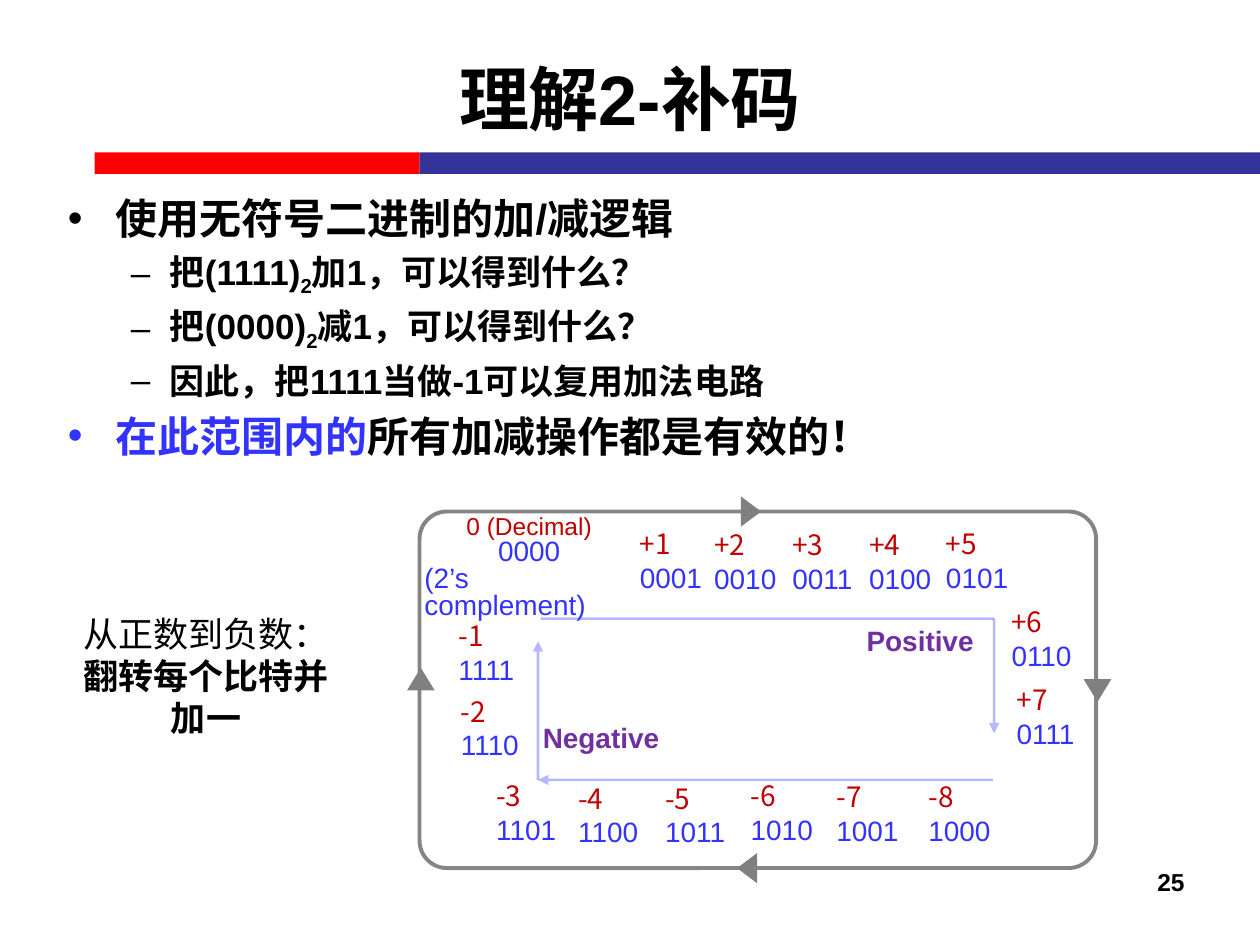
from typing import NamedTuple

from lxml import etree
from pptx import Presentation
from pptx.dml.color import RGBColor
from pptx.enum.shapes import MSO_CONNECTOR as Connector, MSO_SHAPE as Shape
from pptx.enum.text import MSO_ANCHOR as Anchor, PP_ALIGN as Align
from pptx.oxml.ns import qn
from pptx.util import Inches, Pt

LATIN, CJK = "Arial", "Noto Sans CJK SC"
BLACK, RED, BLUE = "000000", "C00000", "3333FF"
GREY, PURPLE = "808080", "7030A0"


class Run(NamedTuple):
    text: str
    size: float
    color: str = BLACK
    bold: bool = False
    font: str = LATIN
    subscript: bool = False


class Para(NamedTuple):
    runs: list[Run]
    align: Align = Align.LEFT
    spacing: float | None = None
    level: int | None = None  # None means no bullet


class Box(NamedTuple):
    left: float
    top: float
    width: float
    height: float


class Arrow(NamedTuple):
    start: tuple[float, float]
    end: tuple[float, float]
    has_head: bool = True


class Code(NamedTuple):
    value: int
    left: float
    top: float


def rgb(color: str) -> RGBColor:
    return RGBColor.from_string(color)


def set_alpha(line, percent: int) -> None:
    clr = line._get_or_add_ln().find(".//" + qn("a:srgbClr"))
    etree.SubElement(clr, qn("a:alpha"), val=str(percent * 1000))


def add_bullet(p, level: int) -> None:
    margin, hang, char = [(0.38, 0.38, "•"), (0.81, 0.31, "–")][level]
    pPr = p._p.get_or_add_pPr()
    pPr.set("marL", str(Inches(margin)))
    pPr.set("indent", str(-Inches(hang)))
    etree.SubElement(pPr, qn("a:buFont"), typeface=LATIN)
    etree.SubElement(pPr, qn("a:buChar"), char=char)


def add_text(s, box: Box, paras: list[Para], anchor: Anchor = Anchor.TOP) -> None:
    tf = s.shapes.add_textbox(*map(Inches, box)).text_frame
    tf.word_wrap = True
    tf.vertical_anchor = anchor
    for i, para in enumerate(paras):
        p = tf.paragraphs[0] if i == 0 else tf.add_paragraph()
        p.alignment = para.align
        if para.spacing:
            p.line_spacing = para.spacing
        if para.level is not None:
            if i > 0:
                p.space_before = Pt(para.runs[0].size * 0.2)
            add_bullet(p, para.level)
        for run in para.runs:
            r = p.add_run()
            r.text = run.text
            formats = {"size": Pt(run.size), "bold": run.bold, "name": run.font}
            for name, value in formats.items():
                setattr(r.font, name, value)
            r.font.color.rgb = rgb(run.color)
            rPr = r._r.get_or_add_rPr()
            etree.SubElement(rPr, qn("a:ea"), typeface=run.font)
            if run.subscript:
                rPr.set("baseline", "-25000")


def add_filled(s, kind: Shape, box: Box, color: str, rotation: int = 0) -> None:
    sp = s.shapes.add_shape(kind, *map(Inches, box))
    sp.shadow.inherit = False
    sp.fill.solid()
    sp.fill.fore_color.rgb = rgb(color)
    sp.line.fill.background()
    sp.rotation = rotation


def add_ring(s, box: Box) -> None:
    sp = s.shapes.add_shape(Shape.ROUNDED_RECTANGLE, *map(Inches, box))
    sp.adjustments[0] = 0.077
    sp.shadow.inherit = False
    sp.fill.background()
    sp.line.color.rgb = rgb(BLACK)
    sp.line.width = Pt(2.25)
    set_alpha(sp.line, 48)


def add_arrow(s, arrow: Arrow) -> None:
    ends = map(Inches, arrow.start + arrow.end)
    cx = s.shapes.add_connector(Connector.STRAIGHT, *ends)
    cx.line.color.rgb = rgb(BLUE)
    cx.line.width = Pt(1.5)
    set_alpha(cx.line, 34)
    if arrow.has_head:
        etree.SubElement(cx.line._get_or_add_ln(), qn("a:tailEnd"), type="triangle")
    etree.SubElement(cx._element.spPr, qn("a:effectLst"))


def add_code(s, code: Code) -> None:
    """A signed number above its four-bit two's complement."""
    add_text(s, Box(code.left, code.top, 0.73, 0.64), [
        Para([Run(f"{code.value:+d}", 16, RED, font=CJK)]),
        Para([Run(f"{code.value & 0b1111:04b}", 16, BLUE)]),
    ])


def question(bits: str, action: str) -> Para:
    return Para([
        Run(f"把({bits})", 20, bold=True),
        Run("2", 20, bold=True, subscript=True),
        Run(f"{action}1，可以得到什么？", 20, bold=True),
    ], level=1)


TRIANGLES = [
    (Box(5.84, 3.98, 0.24, 0.16), 90),
    (Box(8.6, 5.39, 0.22, 0.18), 180),
    (Box(5.81, 6.81, 0.24, 0.16), 270),
    (Box(3.23, 5.3, 0.22, 0.18), 0),
]
ARROWS = [
    Arrow((4.29, 4.91), (7.89, 4.91), has_head=False),
    Arrow((7.89, 4.91), (7.89, 5.82)),
    Arrow((7.88, 6.19), (4.27, 6.19)),
    Arrow((4.27, 6.19), (4.27, 5.09)),
]
CODES = [
    Code(1, 4.98, 4.13), Code(2, 5.57, 4.14), Code(3, 6.19, 4.14),
    Code(4, 6.8, 4.14), Code(5, 7.41, 4.13), Code(6, 7.93, 4.75),
    Code(7, 7.97, 5.37), Code(-8, 7.27, 6.14), Code(-7, 6.54, 6.14),
    Code(-6, 5.86, 6.13), Code(-5, 5.18, 6.15), Code(-4, 4.49, 6.15),
    Code(-3, 3.84, 6.13), Code(-2, 3.56, 5.46), Code(-1, 3.54, 4.86),
]
SIGNS = [("Positive", Box(6.78, 4.9, 1.13, 0.37)),
         ("Negative", Box(4.21, 5.67, 1.23, 0.37))]


def main() -> None:
    prs = Presentation()
    prs.slide_width, prs.slide_height = Inches(10), Inches(7.5)
    s = prs.slides.add_slide(prs.slide_layouts[6])

    # Title and two-colour rule
    add_filled(s, Shape.RECTANGLE, Box(0.75, 1.21, 2.58, 0.17), "FF0000")
    add_filled(s, Shape.RECTANGLE, Box(3.33, 1.21, 6.67, 0.17), "333399")
    add_text(s, Box(0.5, 0.15, 9, 1.25),
             [Para([Run("理解2-补码", 40, bold=True)], Align.CENTER)], Anchor.MIDDLE)

    # Bullets
    add_text(s, Box(0.44, 1.48, 7.47, 5.51), [
        Para([Run("使用无符号二进制的加/减逻辑", 24, bold=True)], level=0),
        question("1111", "加"),
        question("0000", "减"),
        Para([Run("因此，把1111当做-1可以复用加法电路", 20, bold=True)], level=1),
        Para([Run("在此范围内的", 24, BLUE, True),
              Run("所有加减操作都是有效的！", 24, bold=True)], level=0),
    ])

    # Side note and page number
    add_text(s, Box(0.44, 4.81, 2.39, 1.11), [
        Para([Run("从正数到负数：", 20)], Align.CENTER),
        Para([Run("翻转每个比特并加一", 20, bold=True)], Align.CENTER),
    ])
    add_text(s, Box(7.17, 6.83, 2.33, 0.52),
             [Para([Run("25", 14, bold=True)], Align.RIGHT)])

    # Number ring
    add_ring(s, Box(3.33, 4.06, 5.37, 2.83))
    for box, rotation in TRIANGLES:
        add_filled(s, Shape.ISOSCELES_TRIANGLE, box, GREY, rotation)
    add_text(s, Box(3.27, 4.05, 1.86, 0.73), [
        Para([Run("0 (Decimal)", 14, RED)], Align.CENTER, 0.8),
        Para([Run("0000", 16, BLUE)], Align.CENTER, 0.8),
        Para([Run("(2’s complement)", 16, BLUE)], spacing=0.8),
    ])
    for arrow in ARROWS:
        add_arrow(s, arrow)
    for code in CODES:
        add_code(s, code)
    for sign, box in SIGNS:
        add_text(s, box, [Para([Run(sign, 16, PURPLE, True)])])

    prs.save("out.pptx")


if __name__ == "__main__":
    main()
